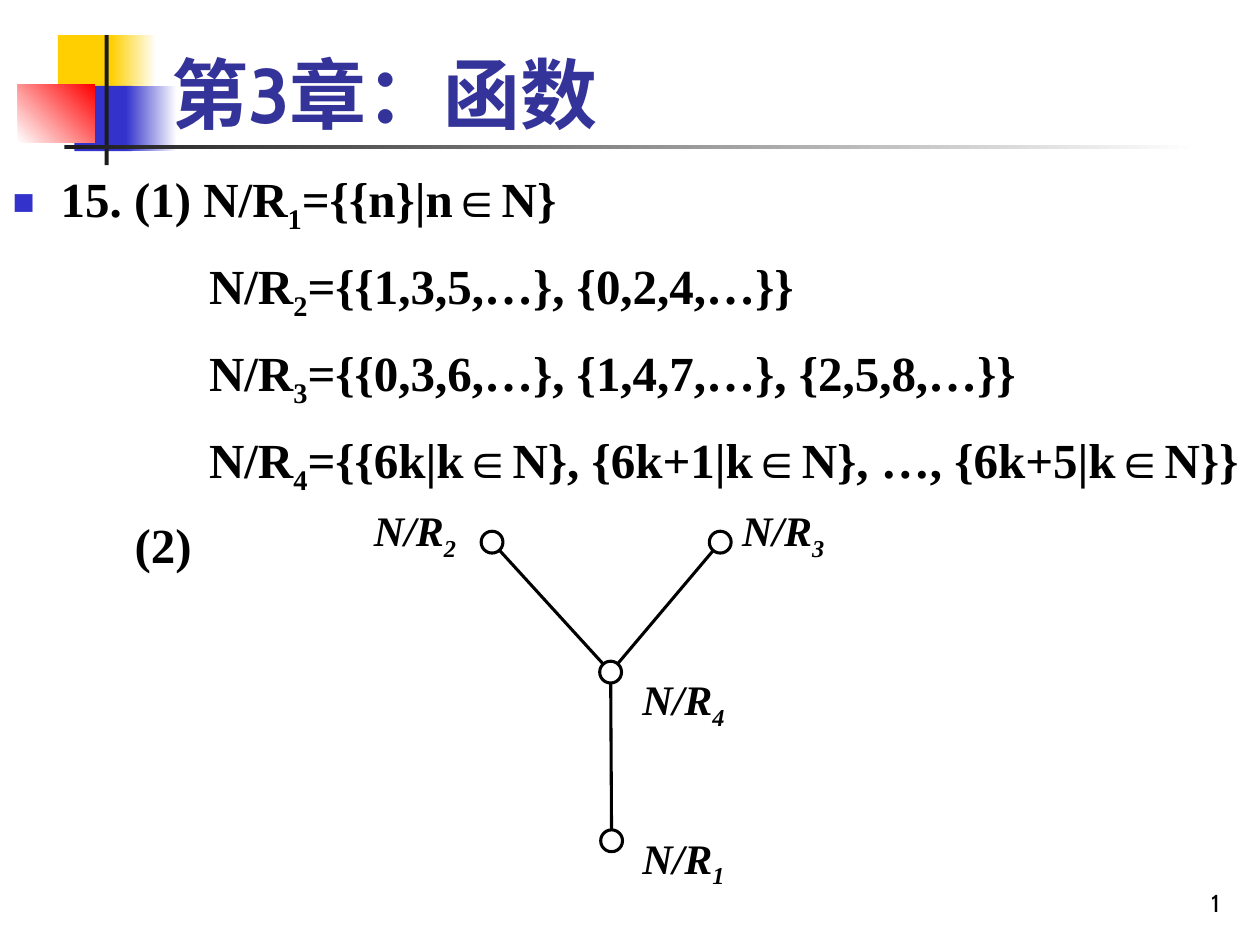
"""Build a slide on quotient sets and their refinement diagram."""
import math

import lxml.etree
import pptx
import pptx.dml.color
import pptx.enum.shapes
import pptx.enum.text
import pptx.oxml.ns
import pptx.util

Cm, Pt = pptx.util.Cm, pptx.util.Pt
Kind = pptx.enum.shapes.MSO_SHAPE
Align = pptx.enum.text.PP_ALIGN
Anchor = pptx.enum.text.MSO_ANCHOR
qn = pptx.oxml.ns.qn

SERIF = "Times New Roman"
TITLE = "第3章：函数"
LINES = [
    ("15. (1) N/R_1={{n}|n∈N}", 0.97, -0.97),
    ("N/R_2={{1,3,5,…}, {0,2,4,…}}", 3.96, 0),
    ("N/R_3={{0,3,6,…}, {1,4,7,…}, {2,5,8,…}}", 3.96, 0),
    ("N/R_4={{6k|k∈N}, {6k+1|k∈N}, …, {6k+5|k∈N}}", 3.96, 0),
    ("(2)", 2.46, 0),
]
DECOR = [
    (1.17, 0.71, 1.22, 1.32, ["FFCF01"], 0),
    (2.24, 0.71, 0.91, 1.32, ["FFCF01", "FFFFFF"], 0),
    (1.5, 1.73, 1.17, 1.32, ["3333CC"], 0),
    (2.54, 1.73, 1.02, 1.32, ["3333CC", "FFFFFF"], 0),
    (0.36, 1.7, 1.55, 1.17, ["FFFFFF", "FF0000"], 45),
    (2.11, 0.71, 0.08, 2.62, ["1C1C1C"], 0),
    (1.3, 2.92, 22.86, 0.08, ["1C1C1C", "FFFFFF"], 0),
]
NODES = {
    "N/R_2": ((9.92, 10.93), (7.29, 9.93)),
    "N/R_3": ((14.52, 10.93), (14.71, 9.93)),
    "N/R_4": ((12.31, 13.55), (12.7, 13.34)),
    "N/R_1": ((12.33, 16.95), (12.7, 16.54)),
}
EDGES = [("N/R_4", "N/R_2"), ("N/R_4", "N/R_3"), ("N/R_1", "N/R_4")]
RADIUS = 0.22


def color(code):
    return pptx.dml.color.RGBColor.from_string(code)


def place(shape, *box):
    shape.left, shape.top, shape.width, shape.height = map(Cm, box)


def style(para, size, name, code="000000", bold=False, slant=False):
    font = para.font
    font.size, font.name, font.bold, font.italic = Pt(size), name, bold, slant
    font.color.rgb = color(code)


def add_math(para, text):
    """Add runs, lowering the digit after each underscore."""
    for num, part in enumerate(text.split("_")):
        if num:
            low = para.add_run()
            low.text, part = part[0], part[1:]
            low._r.get_or_add_rPr().set("baseline", "-25000")
        for pos, piece in enumerate(part.split("∈")):
            if pos:
                sign = para.add_run()
                sign.text, sign.font.name = "∈", "Arial"
            if piece:
                para.add_run().text = piece


def add_tag(parent, tag, **attrs):
    return lxml.etree.SubElement(parent, qn(tag), attrs)


def add_bullet(para):
    props = para._p.get_or_add_pPr()
    add_tag(add_tag(props, "a:buClr"), "a:srgbClr", val="3333CC")
    add_tag(props, "a:buSzPct", val="75000")
    add_tag(props, "a:buFont", typeface="Arial")
    add_tag(props, "a:buChar", char="■")


def add_decor(slide, x, y, wide, high, codes, angle):
    box = slide.shapes.add_shape(Kind.RECTANGLE, *map(Cm, (x, y, wide, high)))
    box.shadow.inherit = False
    box.line.fill.background()
    if len(codes) == 1:
        box.fill.solid()
        box.fill.fore_color.rgb = color(codes[0])
        return
    box.fill.gradient()
    box.fill.gradient_angle = angle
    for stop, code, pos in zip(box.fill.gradient_stops, codes, (0, 1)):
        stop.color.rgb, stop.position = color(code), pos


def add_box(slide, *box):
    frame = slide.shapes.add_textbox(*map(Cm, box)).text_frame
    frame.word_wrap = True
    return frame


def add_title(slide):
    title = slide.shapes.title
    place(title, 3.2, 0.2, 21.64, 2.72)
    frame = title.text_frame
    frame.auto_size = pptx.enum.text.MSO_AUTO_SIZE.NONE
    frame.vertical_anchor = Anchor.BOTTOM
    para = frame.paragraphs[0]
    para.text, para.alignment = TITLE, Align.LEFT
    style(para, 44, "Cabin", "333399", bold=True)


def add_body(slide):
    body = slide.placeholders[1]
    place(body, 0, 2.87, 25.4, 15.06)
    frame = body.text_frame
    frame.auto_size = pptx.enum.text.MSO_AUTO_SIZE.NONE
    for num, (text, left, indent) in enumerate(LINES):
        para = frame.add_paragraph() if num else frame.paragraphs[0]
        props = para._p.get_or_add_pPr()
        props.set("marL", str(Cm(left)))
        props.set("indent", str(Cm(indent)))
        if num:
            add_tag(props, "a:buNone")
        else:
            add_bullet(para)
        para.line_spacing, para.space_before = 1.3, Pt(0)
        style(para, 28, SERIF, bold=True)
        add_math(para, text)


def add_node(slide, text, mid, spot):
    box = [mid[0] - RADIUS, mid[1] - RADIUS, 2 * RADIUS, 2 * RADIUS]
    ring = slide.shapes.add_shape(Kind.OVAL, *map(Cm, box))
    ring.shadow.inherit = False
    ring.fill.background()
    ring.line.color.rgb, ring.line.width = color("000000"), Pt(1.75)
    para = add_box(slide, *spot, 2.59, 1.52).paragraphs[0]
    para.line_spacing = 1.1
    style(para, 24, SERIF, bold=True, slant=True)
    add_math(para, text)


def add_edge(slide, start, end):
    (x1, y1), (x2, y2) = NODES[start][0], NODES[end][0]
    part = RADIUS / math.hypot(x2 - x1, y2 - y1)
    dx, dy = (x2 - x1) * part, (y2 - y1) * part
    ends = map(Cm, (x1 + dx, y1 + dy, x2 - dx, y2 - dy))
    edge = slide.shapes.add_connector(
        pptx.enum.shapes.MSO_CONNECTOR.STRAIGHT, *ends)
    edge.line.color.rgb, edge.line.width = color("000000"), Pt(1.75)
    add_tag(edge._element.spPr, "a:effectLst")


def main():
    deck = pptx.Presentation()
    deck.slide_width, deck.slide_height = Cm(25.4), Cm(19.05)
    slide = deck.slides.add_slide(deck.slide_layouts[1])
    for item in DECOR:
        add_decor(slide, *item)
    add_title(slide)
    add_body(slide)
    for text, (mid, spot) in NODES.items():
        add_node(slide, text, mid, spot)
    for start, end in EDGES:
        add_edge(slide, start, end)
    frame = add_box(slide, 19.56, 17.35, 5.28, 1.27)
    frame.vertical_anchor = Anchor.BOTTOM
    para = frame.paragraphs[0]
    para.text, para.alignment = "1", Align.RIGHT
    style(para, 14, "Cabin")
    deck.save("out.pptx")


if __name__ == "__main__":
    main()
